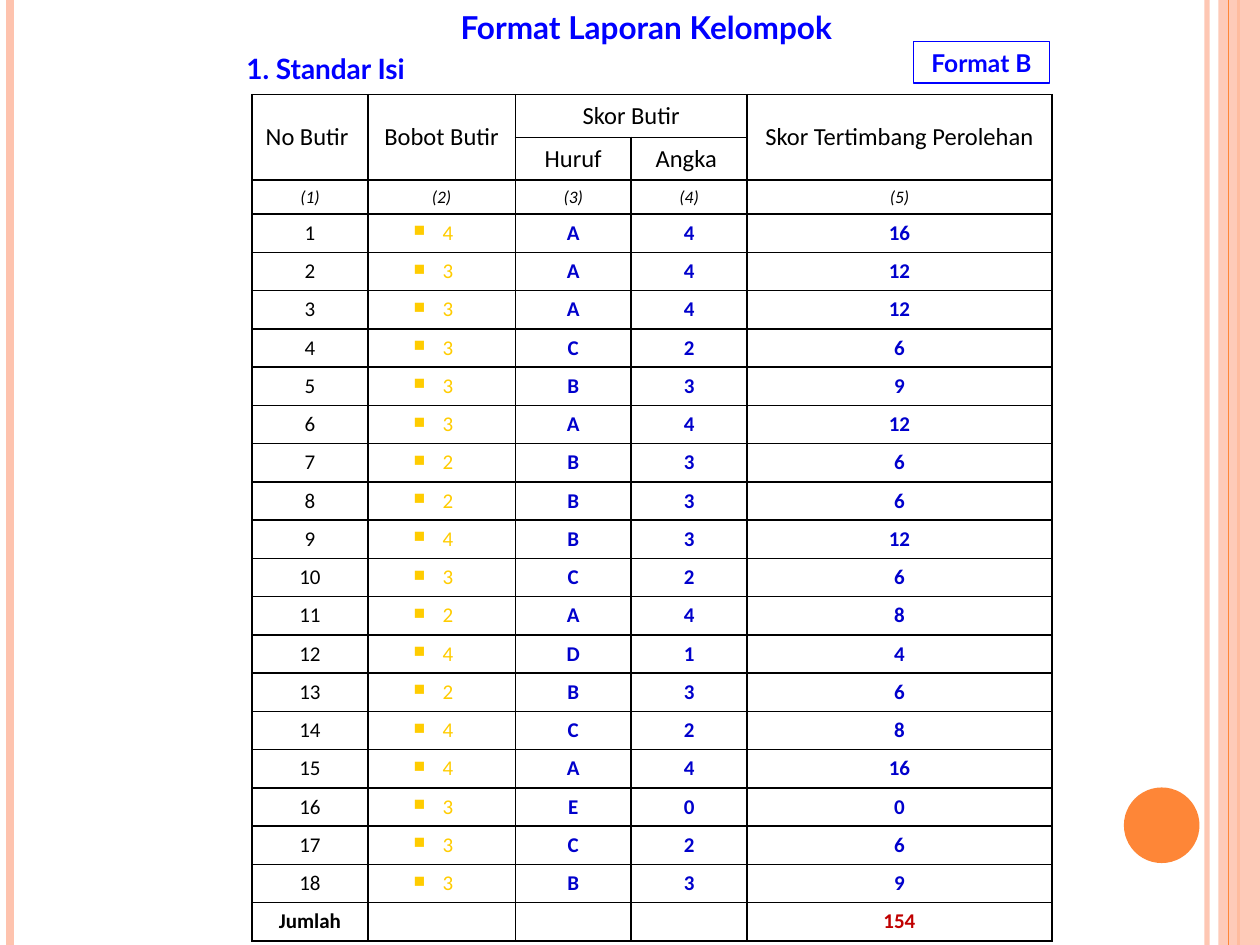
from lxml.etree import SubElement
from pptx import Presentation
from pptx.dml.color import RGBColor
from pptx.enum.shapes import MSO_CONNECTOR, MSO_SHAPE
from pptx.enum.text import MSO_ANCHOR, MSO_AUTO_SIZE, PP_ALIGN
from pptx.oxml.ns import qn
from pptx.util import Inches, Pt

BLACK = RGBColor(0x00, 0x00, 0x00)
BLUE = RGBColor(0x00, 0x00, 0xFF)
SCORE_BLUE = RGBColor(0x00, 0x00, 0xCC)
GOLD = RGBColor(0xFF, 0xCC, 0x00)
TOTAL_RED = RGBColor(0xC0, 0x00, 0x00)
ORANGE = RGBColor(0xFE, 0x86, 0x37)
PEACH = RGBColor(0xFE, 0xC3, 0xAE)

COLUMN_WIDTHS = [0.92, 1.17, 0.92, 0.92, 2.42]
ROW_HEIGHTS = [0.34, 0.34, 0.27] + [0.3] * 19
# (bobot, huruf, skor tertimbang) of each butir
SCORES = [
    (4, "A", 16), (3, "A", 12), (3, "A", 12), (3, "C", 6), (3, "B", 9), (3, "A", 12),
    (2, "B", 6), (2, "B", 6), (4, "B", 12), (3, "C", 6), (2, "A", 8), (4, "D", 4),
    (2, "B", 6), (4, "C", 8), (4, "A", 16), (3, "E", 0), (3, "C", 6), (3, "B", 9),
]
LETTER_VALUES = dict(zip("ABCDE", (4, 3, 2, 1, 0)))


def style(paragraph, size, color, name="Calibri", bold=False, italic=False):
    paragraph.alignment = PP_ALIGN.CENTER
    font = paragraph.font
    font.size, font.name, font.bold, font.italic = Pt(size), name, bold, italic
    font.color.rgb = color


def set_alpha(color_format_parent, percent):
    color = next(color_format_parent.iter(qn("a:srgbClr")))
    SubElement(color, qn("a:alpha"), val=str(percent * 1000))


def add_rule(slide, x, height, color, width, alpha=None):
    rule = slide.shapes.add_connector(
        MSO_CONNECTOR.STRAIGHT, Inches(x), 0, Inches(x), height)
    rule.line.color.rgb = color
    rule.line.width = Pt(width)
    properties = rule._element.spPr
    if alpha:
        set_alpha(properties, alpha)
    SubElement(properties, qn("a:effectLst"))


def add_plain_shape(slide, preset, left, top, width, height, fill=None):
    shape = slide.shapes.add_shape(
        preset, Inches(left), Inches(top), Inches(width), Inches(height))
    shape.shadow.inherit = False
    shape.line.fill.background()
    if fill is None:
        shape.fill.background()
    else:
        shape.fill.solid()
        shape.fill.fore_color.rgb = fill
    return shape


def add_frame(slide, height):
    """Side stripes and the orange disc."""
    add_rule(slide, 9.58, height, PEACH, 3, alpha=93)
    add_rule(slide, 0.08, height, PEACH, 4.5)
    add_rule(slide, 9.83, height, ORANGE, 1.5)
    band = add_plain_shape(slide, MSO_SHAPE.RECTANGLE, 9.67, 0, 0.33, 7.5, PEACH)
    set_alpha(band._element.spPr, 87)
    add_rule(slide, 9.75, height, ORANGE, 0.75)
    add_plain_shape(slide, MSO_SHAPE.OVAL, 8.92, 6.25, 0.6, 0.6, ORANGE)


def write_heading(shape, text, size):
    frame = shape.text_frame
    frame.text = text
    frame.word_wrap = True
    frame.auto_size = MSO_AUTO_SIZE.NONE
    frame.vertical_anchor = MSO_ANCHOR.MIDDLE
    style(frame.paragraphs[0], size, BLUE, "Lato", bold=True)


def add_headings(slide):
    title = slide.shapes.title
    title.left, title.top = Inches(3.12), Inches(0)
    title.width, title.height = Inches(4.08), Inches(0.42)
    write_heading(title, "Format Laporan Kelompok ", 18)

    section = slide.shapes.add_textbox(
        Inches(1.67), Inches(0.33), Inches(1.83), Inches(0.42))
    write_heading(section, "1. Standar Isi", 16)

    format_label = add_plain_shape(slide, MSO_SHAPE.RECTANGLE, 7.25, 0.33, 1.08, 0.33)
    format_label.line.color.rgb = BLUE
    format_label.line.width = Pt(0.75)
    write_heading(format_label, "Format B", 14)


def add_borders(cell):
    properties = cell._tc.get_or_add_tcPr()
    for position, side in enumerate(("a:lnL", "a:lnR", "a:lnT", "a:lnB")):
        border = SubElement(properties, qn(side), w=str(Pt(1)))
        fill = SubElement(border, qn("a:solidFill"))
        SubElement(fill, qn("a:srgbClr"), val=str(BLACK))
        properties.insert(position, border)


def add_square_bullet(paragraph):
    properties = paragraph._p.get_or_add_pPr()
    properties.set("marL", str(Inches(0.1)))
    properties.set("indent", str(Inches(-0.23)))
    color = SubElement(properties, qn("a:buClr"))
    SubElement(color, qn("a:srgbClr"), val=str(GOLD))
    SubElement(properties, qn("a:buSzPct"), val="75000")
    SubElement(properties, qn("a:buChar"), char="\u25a0")


def write_cell(cell, text, size, color=BLACK, bold=False, italic=False, bullet=False):
    cell.text = str(text)
    cell.vertical_anchor = MSO_ANCHOR.MIDDLE
    paragraph = cell.text_frame.paragraphs[0]
    if bullet:
        add_square_bullet(paragraph)
    style(paragraph, size, color, bold=bold, italic=italic)


def add_score_table(slide, left, top):
    table = slide.shapes.add_table(
        len(ROW_HEIGHTS), len(COLUMN_WIDTHS), Inches(left), Inches(top),
        Inches(sum(COLUMN_WIDTHS)), Inches(sum(ROW_HEIGHTS))).table
    table.first_row = table.horz_banding = False
    for column, width in zip(table.columns, COLUMN_WIDTHS):
        column.width = Inches(width)
    for row, height in zip(table.rows, ROW_HEIGHTS):
        row.height = Inches(height)
    for cell in table.iter_cells():
        cell.fill.background()
        add_borders(cell)

    # Header
    for column in (0, 1, 4):
        table.cell(0, column).merge(table.cell(1, column))
    table.cell(0, 2).merge(table.cell(0, 3))
    headers = {
        (0, 0): "No Butir ", (0, 1): "Bobot Butir", (0, 2): "Skor Butir",
        (0, 4): "Skor Tertimbang Perolehan", (1, 2): "Huruf", (1, 3): "Angka ",
    }
    for (row, column), text in headers.items():
        write_cell(table.cell(row, column), text, 14)
    for column in range(len(COLUMN_WIDTHS)):
        write_cell(table.cell(2, column), f"({column + 1})", 10, italic=True)

    # Scores
    for number, (weight, letter, weighted) in enumerate(SCORES, 1):
        row = number + 2
        write_cell(table.cell(row, 0), number, 12)
        write_cell(table.cell(row, 1), weight, 12, GOLD, bullet=True)
        for column, value in enumerate((letter, LETTER_VALUES[letter], weighted), 2):
            write_cell(table.cell(row, column), value, 12, SCORE_BLUE, bold=True)

    # Total
    last = len(ROW_HEIGHTS) - 1
    write_cell(table.cell(last, 0), "Jumlah", 12, bold=True)
    write_cell(table.cell(last, 4), sum(s[2] for s in SCORES), 12, TOTAL_RED, bold=True)

    # Tight margins right of the numbers
    for row in range(3, last + 1):
        for column in range(1, len(COLUMN_WIDTHS)):
            cell = table.cell(row, column)
            cell.margin_left = cell.margin_right = Inches(0.07)
            cell.margin_top = cell.margin_bottom = 0


presentation = Presentation()
presentation.slide_width, presentation.slide_height = Inches(10), Inches(7.5)
report = presentation.slides.add_slide(presentation.slide_layouts[5])
add_frame(report, presentation.slide_height)
add_score_table(report, 2, 0.75)
add_headings(report)
presentation.save("out.pptx")
